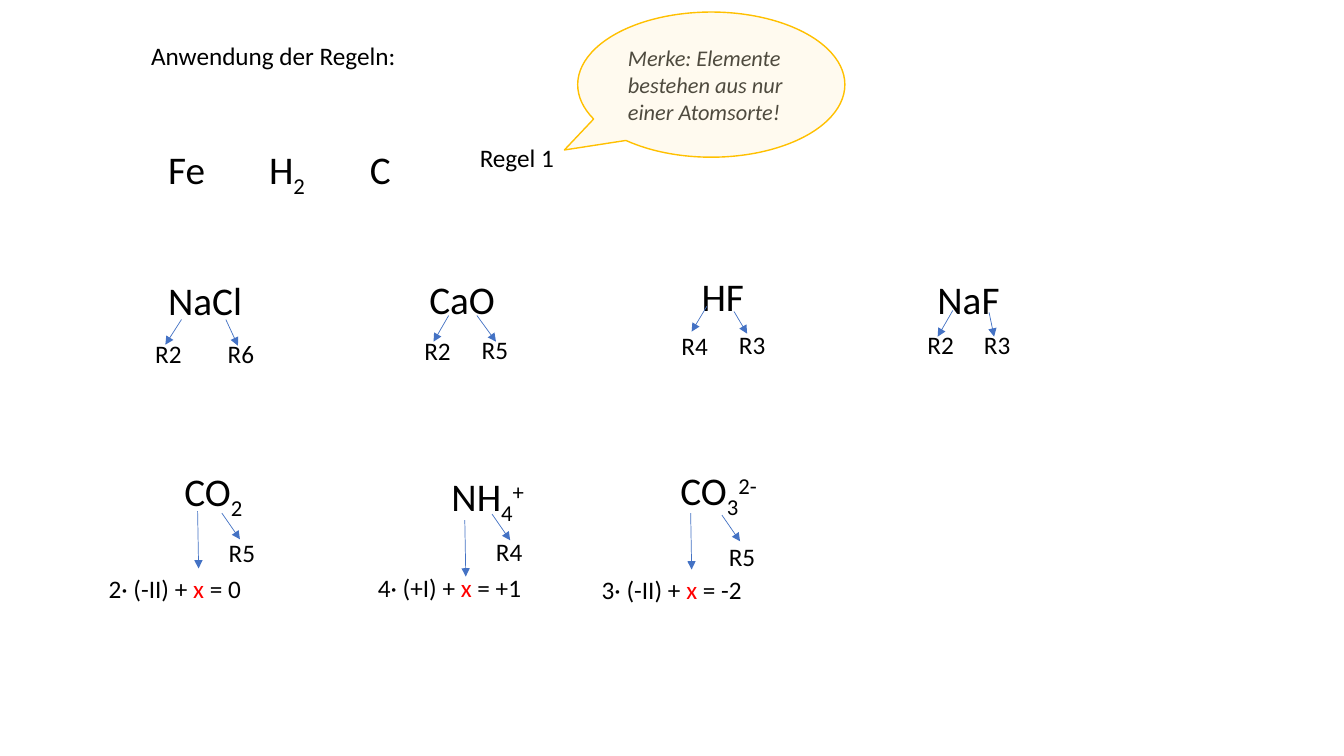
from lxml.etree import SubElement
from pptx import Presentation
from pptx.dml.color import RGBColor
from pptx.enum.shapes import MSO_CONNECTOR as CONNECTOR, MSO_SHAPE as SHAPE
from pptx.enum.text import MSO_AUTO_SIZE as AUTO_SIZE
from pptx.oxml.ns import qn
from pptx.util import Pt

PX = 9144  # EMU per px, 100 px to the inch
BLACK, RED, BLUE, GOLD, CREAM = "000000", "FF0000", "4472C4", "FFC000", "FFF2CC"
SUB, SUPER = -25000, 30000
FORMULA, LABEL, NOTE = 28, 18, 16
HEIGHTS = {FORMULA: 57, LABEL: 40, NOTE: 91}

presentation = Presentation()
presentation.slide_width, presentation.slide_height = 1333 * PX, 750 * PX
slide = presentation.slides.add_slide(presentation.slide_layouts[6])


def color(hex_string):
    return RGBColor.from_string(hex_string)


def add_text(left, top, width, size, *runs, italic=False):
    """Add a text box; each run is a text or a (text, baseline, colour) tuple."""
    box = slide.shapes.add_textbox(left * PX, top * PX, width * PX, HEIGHTS[size] * PX)
    frame = box.text_frame
    frame.word_wrap = True
    frame.auto_size = AUTO_SIZE.SHAPE_TO_FIT_TEXT
    paragraph = frame.paragraphs[0]
    for item in runs:
        text, baseline, ink = (item, 0, BLACK) if isinstance(item, str) else item
        run = paragraph.add_run()
        run.text = text
        formats = {"name": "Calibri", "size": Pt(size), "italic": italic}
        for name, value in formats.items():
            setattr(run.font, name, value)
        run.font.color.rgb = color(ink)
        if baseline:
            run._r.get_or_add_rPr().set("baseline", str(baseline))
    return paragraph


add_text(140, 35, 265, LABEL, "Anwendung der Regeln:")
add_text(466, 136, 109, LABEL, "Regel 1")

elements = add_text(157, 139, 257, FORMULA, "Fe\tH", ("2", SUB, BLACK), "\tC")
tab_list = SubElement(elements._p.get_or_add_pPr(), qn("a:tabLst"))
for stop in (100, 200):
    SubElement(tab_list, qn("a:tab"), pos=str(stop * PX), algn="l")

# Formulas: left, top, width, runs
formulas = [
    (157, 269, 104, ["NaCl"]),
    (416, 268, 104, ["CaO"]),
    (686, 265, 70, ["HF"]),
    (920, 268, 110, ["NaF"]),
    (173, 459, 92, ["CO", ("2", SUB, BLACK)]),
    (438, 464, 114, ["NH", ("4", SUB, BLACK), ("+", SUPER, BLACK)]),
    (665, 458, 110, ["CO", ("3", SUB, BLACK), ("2-", SUPER, BLACK)]),
]
for left, top, width, runs in formulas:
    add_text(left, top, width, FORMULA, *runs)

# Rules below the atoms: text, left, top
rules = [
    ("R2", 144, 331), ("R6", 216, 331),
    ("R2", 411, 328), ("R5", 468, 327),
    ("R4", 666, 323), ("R3", 723, 322),
    ("R2", 910, 322), ("R3", 966, 322),
    ("R5", 217, 528), ("R4", 482, 527), ("R5", 713, 532),
]
for text, left, top in rules:
    add_text(left, top, 54, LABEL, text)

# Equations for the unknown oxidation number: left, top, before x, after x
equations = [
    (98, 564, "2· (-II) + ", " = 0"),
    (365, 563, "4· (+I) + ", " = +1"),
    (587, 565, "3· (-II) + ", " = -2"),
]
for left, top, before, after in equations:
    add_text(left, top, 190, LABEL, before, ("x", 0, RED), after)

# Arrows from atom to rule or equation: start x, start y, end x, end y
arrows = [
    (180, 317, 164, 342), (224, 317, 236, 343),
    (445, 313, 430, 339), (473, 313, 492, 339),
    (701, 304, 686, 329), (728, 309, 741, 331),
    (945, 308, 930, 334), (981, 310, 986, 334),
    (196, 507, 197, 564), (220, 509, 238, 535),
    (461, 516, 462, 572), (488, 510, 506, 536),
    (685, 509, 686, 565), (716, 511, 734, 537),
]
for ends in arrows:
    arrow = slide.shapes.add_connector(CONNECTOR.STRAIGHT, *(end * PX for end in ends))
    arrow.line.color.rgb = color(BLUE)
    arrow.line.width = Pt(0.5)
    SubElement(arrow.line._get_or_add_ln(), qn("a:tailEnd"), type="triangle")
    SubElement(arrow._element.spPr, qn("a:effectLst"))

# The translucent bubble lies over its text
add_text(613, 39, 214, NOTE, "Merke: Elemente bestehen aus nur einer Atomsorte!", italic=True)
bubble = slide.shapes.add_shape(SHAPE.OVAL_CALLOUT, 573 * PX, 12 * PX, 265 * PX, 144 * PX)
bubble.adjustments[0], bubble.adjustments[1] = -0.55, 0.45
bubble.shadow.inherit = False
bubble.fill.solid()
bubble.fill.fore_color.rgb = color(CREAM)
fill_color = bubble._element.spPr.find(qn("a:solidFill")).find(qn("a:srgbClr"))
SubElement(fill_color, qn("a:alpha"), val="31000")
bubble.line.color.rgb = color(GOLD)
bubble.line.width = Pt(1)

presentation.save("out.pptx")
